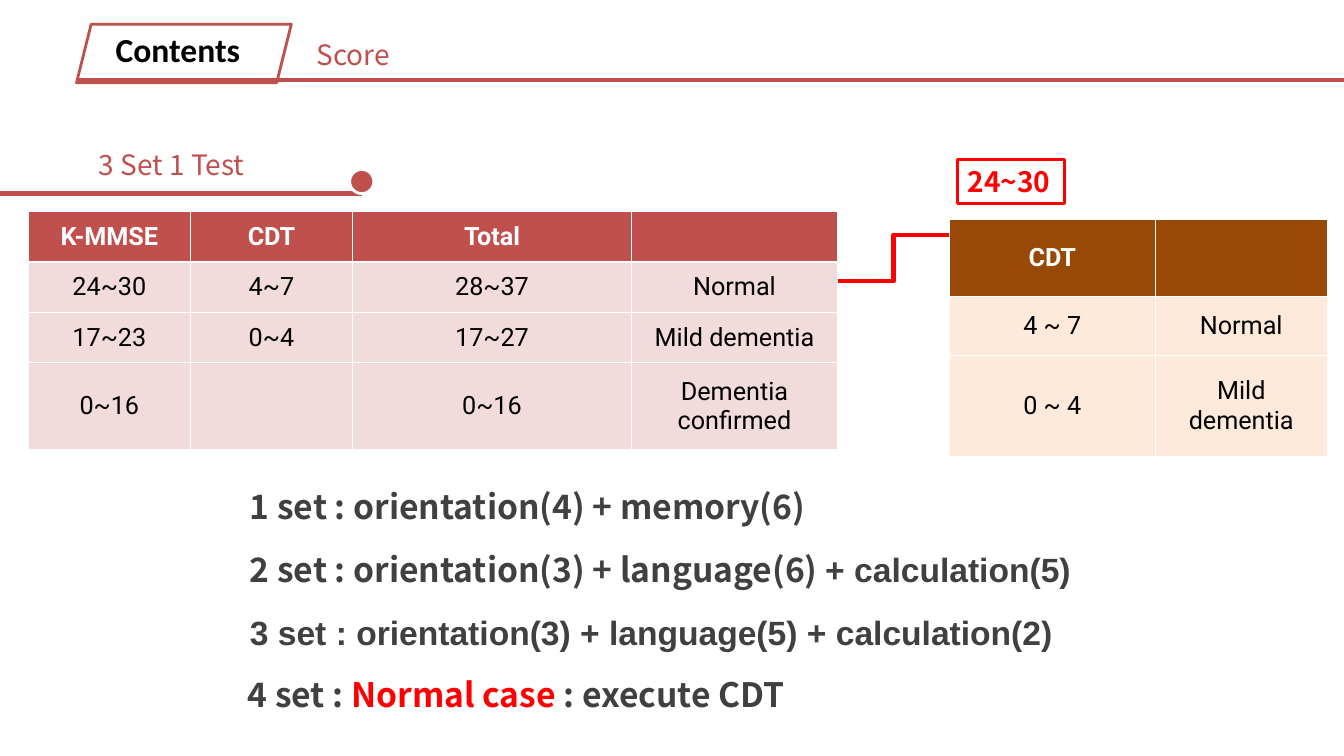
from dataclasses import dataclass
from typing import Optional

import pptx
import pptx.dml.color
import pptx.enum.shapes
import pptx.enum.text
import pptx.oxml
import pptx.oxml.ns
import pptx.shapes.autoshape
import pptx.shapes.connector
import pptx.slide
import pptx.text.text
import pptx.util

Pt = pptx.util.Pt
RGBColor = pptx.dml.color.RGBColor
Align = pptx.enum.text.PP_ALIGN
Anchor = pptx.enum.text.MSO_ANCHOR
Preset = pptx.enum.shapes.MSO_SHAPE
Route = pptx.enum.shapes.MSO_CONNECTOR

WHITE = RGBColor(0xFF, 0xFF, 0xFF)
WARM_WHITE = RGBColor(0xFF, 0xFD, 0xFC)
BLACK = RGBColor(0, 0, 0)
GREY = RGBColor(0x40, 0x40, 0x40)
RED = RGBColor(0xFF, 0, 0)
BRICK = RGBColor(0xC0, 0x50, 0x4D)
PINK = RGBColor(0xF2, 0xDC, 0xDB)
BROWN = RGBColor(0x98, 0x48, 0x07)
PEACH = RGBColor(0xFD, 0xEA, 0xDA)

NOTO = "Noto Sans CJK KR"


@dataclass(frozen=True)
class Span:
    text: str
    font: Optional[str] = None
    colour: Optional[RGBColor] = None


@dataclass(frozen=True)
class Label:
    left: float
    top: float
    width: float
    height: float
    spans: tuple[Span, ...]
    size: float = 20
    font: str = NOTO
    colour: RGBColor = BRICK
    bold: bool = False
    align: Align = Align.LEFT
    anchor: Anchor = Anchor.TOP
    outline: Optional[RGBColor] = None


@dataclass(frozen=True)
class ScoreTable:
    left: float
    top: float
    columns: tuple[float, ...]
    rows: tuple[float, ...]
    cells: tuple[tuple[str, ...], ...]
    header_fill: RGBColor
    body_fill: RGBColor


@dataclass(frozen=True)
class Rule:
    start: tuple[float, float]
    end: tuple[float, float]
    colour: RGBColor = BRICK
    route: Route = Route.STRAIGHT


@dataclass(frozen=True)
class Badge:
    preset: Preset
    left: float
    top: float
    width: float
    height: float
    fill: RGBColor
    line: RGBColor


TITLE = Label(218.9, 23, 83.5, 31.5, (Span("Score"),))
SECTION = Label(54.7, 15.1, 144.7, 39.6, (Span("Contents"),), 24, "Calibri",
                BLACK, True, Align.CENTER, Anchor.MIDDLE)
SUBTITLE = Label(63.4, 101.5, 170.6, 31.7, (Span("3 Set 1 Test"),))
CDT_RANGE = Label(684, 113.8, 76.3, 31.7, (Span("24~30"),),
                  colour=RED, bold=True, outline=RED)

SECTION_TAB = Badge(Preset.PARALLELOGRAM, 54.7, 17.3, 153.4, 41.8, WHITE, BRICK)
SUBTITLE_DOT = Badge(Preset.OVAL, 249.8, 121, 17.3, 17.3, BRICK, WHITE)
TITLE_RULE = Rule((960, 56.9), (54.7, 56.9))
SUBTITLE_RULE = Rule((0, 138.2), (258.5, 138.2))
NORMAL_TO_CDT = Rule((598.3, 200.9), (678.2, 167.8), RED, Route.ELBOW)

TOTAL_TABLE = ScoreTable(
    20.2, 151.2, (115.8, 115.8, 199.3, 147.2), (36, 36, 36, 62),
    (("K-MMSE", "CDT", "Total", ""),
     ("24~30", "4~7", "28~37", "Normal"),
     ("17~23", "0~4", "17~27", "Mild dementia"),
     ("0~16", "", "0~16", "Dementia confirmed")), BRICK, PINK)
CDT_TABLE = ScoreTable(
    678.2, 156.6, (146.9, 123.1), (55.4, 41.8, 72.7),
    (("CDT", ""), ("4 ~ 7", "Normal"), ("0 ~ 4", "Mild dementia")),
    BROWN, PEACH)

SET_TOP, SET_PITCH = 342, 44.64
SETS = (
    (171.4, 547.2, (Span("1 set : orientation(4) + memory(6)"),)),
    (171.4, 741.6, (Span("2 set : orientation(3) + language(6) "),
                    Span("+ calculation(5)", "Arial"))),
    (171.4, 654.5, (Span("3 set : orientation(3) + language(5) + calculation(2)",
                         "Arial"),)),
    (169.9, 654.5, (Span("4 set : "), Span("Normal case", colour=RED),
                    Span(" : execute CDT"))),
)


def style_paragraph(para: pptx.text.text._Paragraph, size: float, font: str,
                    colour: RGBColor, bold: bool, align: Align) -> None:
    para.alignment = align
    para.font.size = Pt(size)
    para.font.name = font
    para.font.bold = bold
    para.font.color.rgb = colour


def fill_label(box: pptx.shapes.autoshape.Shape, label: Label) -> None:
    """Place, outline and write a text box or the title placeholder."""
    box.left, box.top = Pt(label.left), Pt(label.top)
    box.width, box.height = Pt(label.width), Pt(label.height)
    if label.outline is not None:
        box.line.color.rgb = label.outline
        box.line.width = Pt(2.25)
    frame = box.text_frame
    frame.word_wrap = True
    frame.auto_size = pptx.enum.text.MSO_AUTO_SIZE.NONE
    frame.vertical_anchor = label.anchor
    para = frame.paragraphs[0]
    style_paragraph(para, label.size, label.font, label.colour, label.bold,
                    label.align)
    for span in label.spans:
        run = para.add_run()
        run.text = span.text
        if span.font is not None:
            run.font.name = span.font
        if span.colour is not None:
            run.font.color.rgb = span.colour


def add_label(page: pptx.slide.Slide, label: Label) -> None:
    fill_label(page.shapes.add_textbox(0, 0, 0, 0), label)


def add_badge(page: pptx.slide.Slide, badge: Badge) -> None:
    shape = page.shapes.add_shape(badge.preset, Pt(badge.left), Pt(badge.top),
                                  Pt(badge.width), Pt(badge.height))
    shape.shadow.inherit = False
    shape.fill.solid()
    shape.fill.fore_color.rgb = badge.fill
    shape.line.color.rgb = badge.line
    shape.line.width = Pt(2)


def add_rule(page: pptx.slide.Slide, rule: Rule) -> None:
    line = page.shapes.add_connector(rule.route, *map(Pt, rule.start + rule.end))
    line.line.color.rgb = rule.colour
    line.line.width = Pt(3)
    effects = pptx.oxml.parse_xml(
        f"<a:effectLst {pptx.oxml.ns.nsdecls('a')}/>")
    line.element.spPr.append(effects)


def add_score_table(page: pptx.slide.Slide, scores: ScoreTable) -> None:
    """Draw a table whose default style supplies the white cell borders."""
    table = page.shapes.add_table(
        len(scores.rows), len(scores.columns), Pt(scores.left), Pt(scores.top),
        Pt(sum(scores.columns)), Pt(sum(scores.rows))).table
    table.horz_banding = False
    for column, width in zip(table.columns, scores.columns):
        column.width = Pt(width)
    for index, (row, height) in enumerate(zip(table.rows, scores.rows)):
        row.height = Pt(height)
        header = index == 0
        for cell, text in zip(row.cells, scores.cells[index]):
            cell.fill.solid()
            cell.fill.fore_color.rgb = (
                scores.header_fill if header else scores.body_fill)
            cell.vertical_anchor = Anchor.MIDDLE
            cell.text = text
            style_paragraph(cell.text_frame.paragraphs[0], 18, "Roboto",
                            WHITE if header else BLACK, header, Align.CENTER)


def paint_background(page: pptx.slide.Slide) -> None:
    fill = page.background.fill
    fill.gradient()
    fill.gradient_angle = 270
    for stop, position, colour in zip(fill.gradient_stops, (0.43, 0.5),
                                      (WHITE, WARM_WHITE)):
        stop.position = position
        stop.color.rgb = colour


def main() -> None:
    deck = pptx.Presentation()
    deck.slide_width, deck.slide_height = Pt(960), Pt(540)
    page = deck.slides.add_slide(deck.slide_layouts.get_by_name("Title Only"))
    paint_background(page)
    fill_label(page.shapes.title, TITLE)
    add_badge(page, SECTION_TAB)
    add_label(page, SECTION)
    add_rule(page, TITLE_RULE)
    add_label(page, SUBTITLE)
    add_rule(page, SUBTITLE_RULE)
    add_badge(page, SUBTITLE_DOT)
    add_score_table(page, TOTAL_TABLE)
    add_score_table(page, CDT_TABLE)
    add_label(page, CDT_RANGE)
    add_rule(page, NORMAL_TO_CDT)
    for index, (left, width, spans) in enumerate(SETS):
        add_label(page, Label(left, SET_TOP + index * SET_PITCH, width, 39.6,
                              spans, 24, colour=GREY, bold=True,
                              anchor=Anchor.MIDDLE))
    deck.save("out.pptx")


if __name__ == "__main__":
    main()
